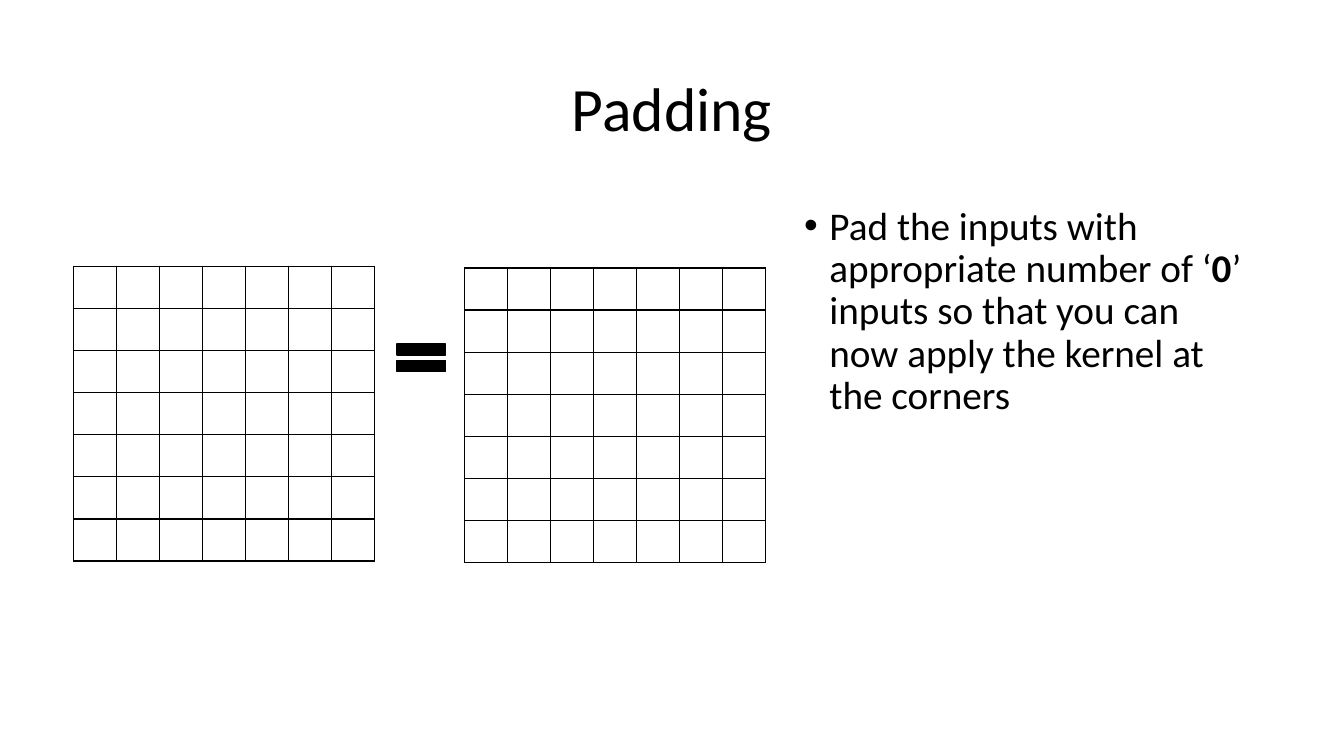
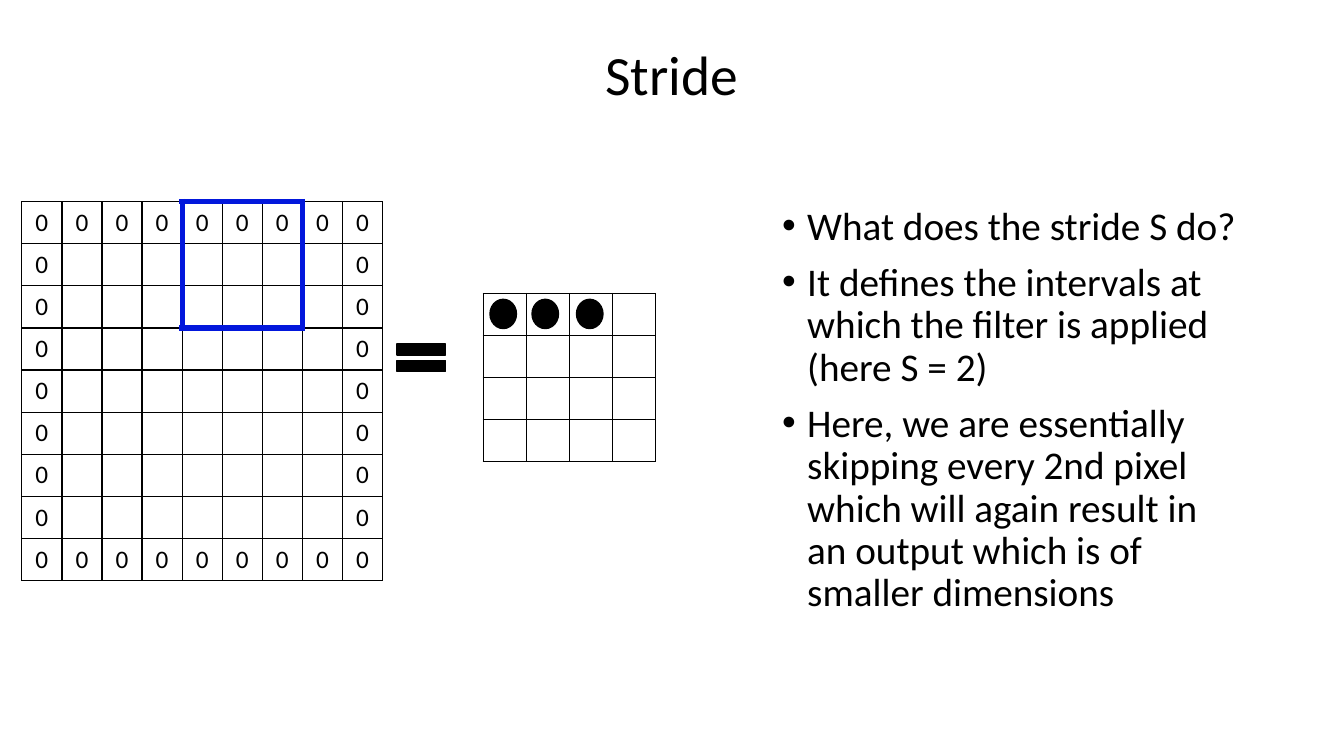
from lxml import etree
from pptx import Presentation
from pptx.dml.color import RGBColor
from pptx.enum.shapes import MSO_SHAPE
from pptx.enum.text import MSO_ANCHOR, MSO_AUTO_SIZE, PP_ALIGN
from pptx.oxml.ns import qn
from pptx.util import Pt

CENTER = PP_ALIGN.CENTER
MIDDLE = MSO_ANCHOR.MIDDLE
NO_AUTOFIT = MSO_AUTO_SIZE.NONE
EQUAL_SIGN = MSO_SHAPE.MATH_EQUAL
OVAL = MSO_SHAPE.OVAL

COLORS = {"ink": "000000", "window": "0217DC"}
FONT = "Calibri"
ROW_HEIGHT = 30.1
INK = RGBColor.from_string(COLORS["ink"])


def add_grid(slide, left, top, size, column_width, color, line_width, inner=True, zero_edge=False):
    """Add a square table with ruled cells, or with only its outer border."""
    frame = slide.shapes.add_table(size, size, Pt(left), Pt(top),
                                   Pt(size * column_width), Pt(size * ROW_HEIGHT))
    table = frame.table
    table.first_row = table.horz_banding = False
    for column in table.columns:
        column.width = Pt(column_width)
    for row in table.rows:
        row.height = Pt(ROW_HEIGHT)
    last = size - 1
    for row in range(size):
        for column in range(size):
            cell = table.cell(row, column)
            properties = cell._tc.get_or_add_tcPr()
            outer = {"lnL": column == 0, "lnR": column == last,
                     "lnT": row == 0, "lnB": row == last}
            for side, is_outer in outer.items():
                border = etree.SubElement(properties, qn("a:" + side), w=str(Pt(line_width)))
                if inner or is_outer:
                    fill = etree.SubElement(border, qn("a:solidFill"))
                    etree.SubElement(fill, qn("a:srgbClr"), val=color)
                else:
                    etree.SubElement(border, qn("a:noFill"))
            cell.fill.background()
            if zero_edge and any(outer.values()):
                cell.text = "0"
                cell.vertical_anchor = MIDDLE
                paragraph = cell.text_frame.paragraphs[0]
                paragraph.alignment = CENTER
                paragraph.font.size = Pt(18)
                paragraph.font.name = FONT
                paragraph.font.color.rgb = INK


def add_solid(slide, kind, left, top, width, height):
    """Add a black preset shape."""
    shape = slide.shapes.add_shape(kind, Pt(left), Pt(top), Pt(width), Pt(height))
    shape.shadow.inherit = False
    shape.fill.solid()
    shape.fill.fore_color.rgb = INK
    shape.line.color.rgb = INK
    shape.line.width = Pt(1)


presentation = Presentation()
presentation.slide_width = Pt(960)
presentation.slide_height = Pt(540)

# Each bullet is a list of (text, bold) runs
pages = [
    {"title": "Padding", "title_top": 27.5, "title_height": 104.4, "title_size": 44,
     "body_left": 567.4, "body_width": 326.6,
     "bullets": [[("Pad the inputs with appropriate number of ‘", False), ("0", True),
                  ("’ inputs so that you can now apply the kernel at the corners", False)]]},
    {"title": "Stride", "title_top": 28.75, "title_height": 54, "title_size": 39.6,
     "body_left": 551.5, "body_width": 342.5,
     "bullets": [[("What does the stride S do?", False)],
                 [("It defines the intervals at which the filter is applied (here S = 2)", False)],
                 [("Here, we are essentially skipping every 2nd pixel which will again "
                   "result in an output which is of smaller dimensions", False)]]},
]

# Shared parts: title, bullets and equal sign
slides = []
for page in pages:
    slide = presentation.slides.add_slide(presentation.slide_layouts[5])
    slides.append(slide)
    title = slide.shapes.title
    title.left, title.top = Pt(66), Pt(page["title_top"])
    title.width, title.height = Pt(828), Pt(page["title_height"])
    title.text = page["title"]
    title.text_frame.auto_size = NO_AUTOFIT
    title.text_frame.vertical_anchor = MIDDLE
    paragraph = title.text_frame.paragraphs[0]
    paragraph.alignment = CENTER
    paragraph.line_spacing = 0.9
    paragraph.font.size = Pt(page["title_size"])
    paragraph.font.name = FONT
    paragraph.font.color.rgb = INK

    body = slide.shapes.add_textbox(Pt(page["body_left"]), Pt(143.75),
                                    Pt(page["body_width"]), Pt(342.6))
    text_frame = body.text_frame
    text_frame.word_wrap = True
    for index, runs in enumerate(page["bullets"]):
        paragraph = text_frame.add_paragraph() if index else text_frame.paragraphs[0]
        properties = paragraph._p.get_or_add_pPr()
        properties.set("marL", str(Pt(18)))
        properties.set("indent", str(Pt(-18)))
        etree.SubElement(properties, qn("a:buFont"), typeface="Arial")
        etree.SubElement(properties, qn("a:buChar"), char="•")
        paragraph.line_spacing = 0.9
        paragraph.space_before = Pt(10 if index else 0)
        paragraph.font.size = Pt(28)
        paragraph.font.name = FONT
        paragraph.font.color.rgb = INK
        for text, bold in runs:
            run = paragraph.add_run()
            run.text = text
            if bold:
                run.font.bold = True

    add_solid(slide, EQUAL_SIGN, 277.2, 239, 47.5, 33.1)

padding_slide, stride_slide = slides

# Padding: input and output of equal size
for left, top in ((52.6, 190.2), (331.9, 191.4)):
    add_grid(padding_slide, left, top, 7, 30.75, COLORS["ink"], 1)

# Stride: padded input, filter window and output
input_left, input_top, input_column = 15.6, 144, 28.65
add_grid(stride_slide, input_left, input_top, 9, input_column, COLORS["ink"], 1, zero_edge=True)
add_grid(stride_slide, input_left + 4 * input_column, input_top, 3, input_column,
         COLORS["window"], 4.5, inner=False)
add_grid(stride_slide, 345.2, 209.6, 4, 30.75, COLORS["ink"], 1)
for left in (350, 380, 411.8):
    add_solid(stride_slide, OVAL, left, 213.8, 18.9, 20.9)

presentation.save("out.pptx")
